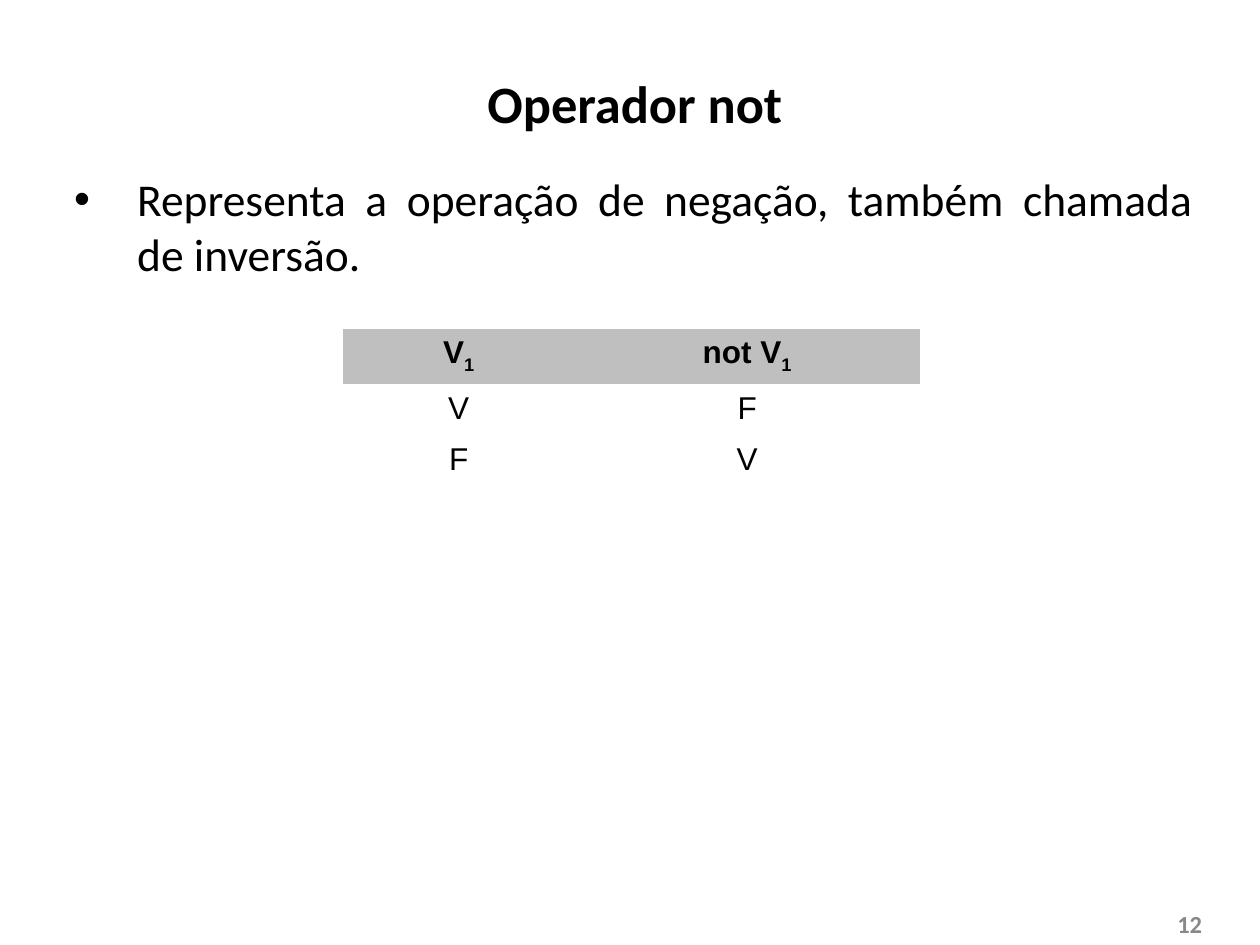
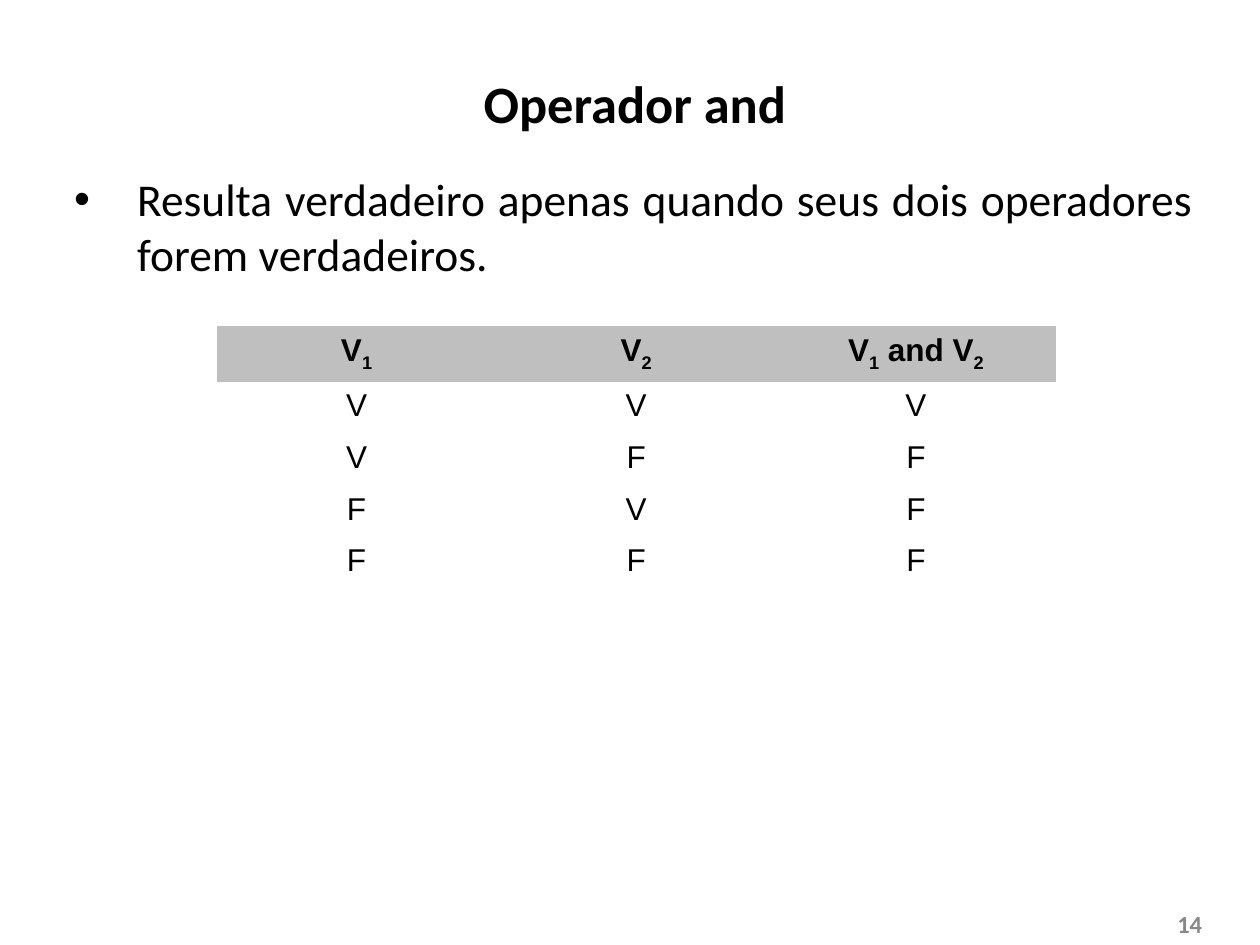
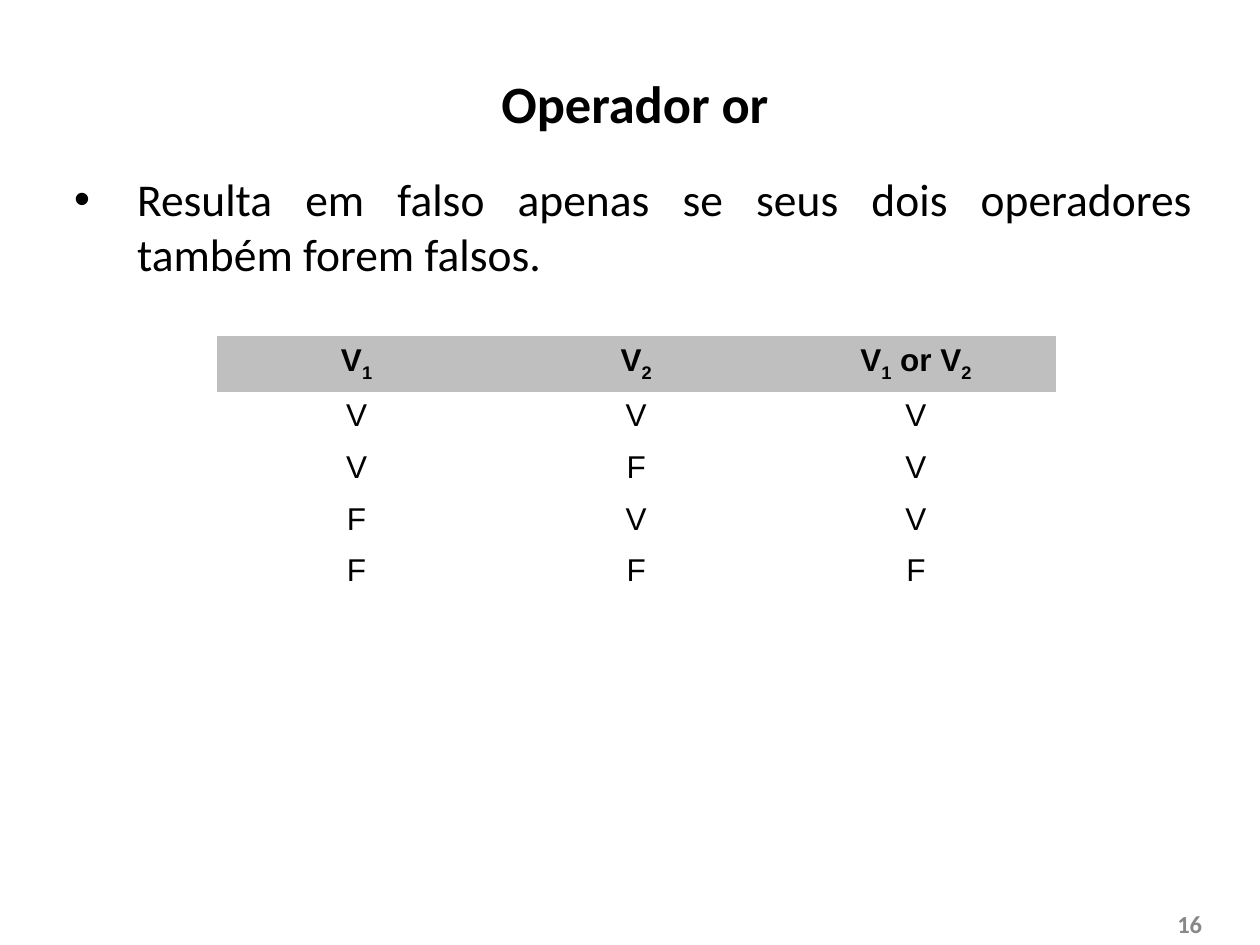
import itertools

import pptx
import pptx.dml.color
import pptx.enum.text
import pptx.oxml.ns
import pptx.util
from lxml import etree

BLACK = pptx.dml.color.RGBColor(0x00, 0x00, 0x00)
PAGE_GRAY = pptx.dml.color.RGBColor(0x88, 0x88, 0x88)
HEADER_GRAY = pptx.dml.color.RGBColor(0xBF, 0xBF, 0xBF)
TEXT_FONT = "Calibri"
TABLE_FONT = "Arial"
PLAIN_TABLE_STYLE = "{2D5ABB26-0587-4C30-8999-92F81FD0307C}"

SLIDE_WIDTH = pptx.util.Inches(10)
SLIDE_HEIGHT = pptx.util.Inches(7.5)
COLUMN = SLIDE_WIDTH / 100
ROW = SLIDE_HEIGHT / 75

ALIGN = pptx.enum.text.PP_ALIGN
ANCHOR = pptx.enum.text.MSO_ANCHOR


def columns(count):
    return round(count * COLUMN)


def rows(count):
    return round(count * ROW)


def add_run(paragraph, text, size, font=TEXT_FONT, color=BLACK, bold=False):
    run = paragraph.add_run()
    run.text = text
    run.font.size = pptx.util.Pt(size)
    run.font.name = font
    run.font.color.rgb = color
    run.font.bold = bold
    return run


def add_text_area(slide, left, top, width, height, align):
    area = slide.shapes.add_textbox(columns(left), rows(top), columns(width), rows(height))
    frame = area.text_frame
    frame.word_wrap = True
    paragraph = frame.paragraphs[0]
    paragraph.alignment = align
    return frame, paragraph


def add_page_number(slide, number):
    frame, paragraph = add_text_area(slide, 73.1, 71.3, 23.3, 4, ALIGN.RIGHT)
    frame.vertical_anchor = ANCHOR.MIDDLE
    add_run(paragraph, str(number), 14, color=PAGE_GRAY, bold=True)


def add_title(slide, title):
    _, paragraph = add_text_area(slide, 5.1, 5.7, 90.6, 5.8, ALIGN.CENTER)
    paragraph.line_spacing = 0.9
    add_run(paragraph, title, 30, bold=True)


def add_definition(slide, definition):
    frame, paragraph = add_text_area(slide, 4.9, 13.1, 90.8, 9.8, ALIGN.JUSTIFY)
    frame.auto_size = pptx.enum.text.MSO_AUTO_SIZE.SHAPE_TO_FIT_TEXT
    properties = paragraph._p.get_or_add_pPr()
    properties.set("marL", str(columns(5)))
    properties.set("indent", str(-columns(5)))
    bullet_font = etree.SubElement(properties, pptx.oxml.ns.qn("a:buFont"))
    bullet_font.set("typeface", "Arial")
    bullet = etree.SubElement(properties, pptx.oxml.ns.qn("a:buChar"))
    bullet.set("char", "•")
    add_run(paragraph, definition, 26)


def add_heading_runs(paragraph, heading):
    first, *indexed = heading.split("_")
    add_run(paragraph, first, 18, TABLE_FONT, bold=True)
    for part in indexed:
        index = add_run(paragraph, part[0], 18, TABLE_FONT, bold=True)
        index._r.get_or_add_rPr().set("baseline", "-25000")
        if part[1:]:
            add_run(paragraph, part[1:], 18, TABLE_FONT, bold=True)


def truth_rows(operator, operand_count):
    for operands in itertools.product((True, False), repeat=operand_count):
        yield ["V" if value else "F" for value in (*operands, operator(*operands))]


def add_truth_table(slide, left, top, widths, headings, operator):
    lines = list(truth_rows(operator, len(headings) - 1))
    line_count = len(lines) + 1
    table_frame = slide.shapes.add_table(
        line_count, len(headings), columns(left), rows(top),
        columns(sum(widths)), rows(4.1 * line_count))
    style = next(table_frame.element.iter(pptx.oxml.ns.qn("a:tableStyleId")))
    style.text = PLAIN_TABLE_STYLE
    table = table_frame.table
    table.horz_banding = False
    for column, width in zip(table.columns, widths):
        column.width = columns(width)
    for line, values in enumerate([headings, *lines]):
        table.rows[line].height = rows(4.1)
        for position, value in enumerate(values):
            cell = table.cell(line, position)
            paragraph = cell.text_frame.paragraphs[0]
            paragraph.alignment = ALIGN.CENTER
            if line == 0:
                cell.fill.solid()
                cell.fill.fore_color.rgb = HEADER_GRAY
                add_heading_runs(paragraph, value)
            else:
                cell.fill.background()
                add_run(paragraph, value, 18, TABLE_FONT)


def add_operator_slide(deck, number, title, definition, **truth_table):
    slide = deck.slides.add_slide(deck.slide_layouts[6])
    add_page_number(slide, number)
    add_title(slide, title)
    add_truth_table(slide, **truth_table)
    add_definition(slide, definition)


def main():
    deck = pptx.Presentation()
    deck.slide_width = SLIDE_WIDTH
    deck.slide_height = SLIDE_HEIGHT
    add_operator_slide(
        deck, 12, "Operador not",
        "Representa a operação de negação, também chamada de inversão.",
        left=27.2, top=26.1, widths=[18.4, 27.4],
        headings=["V_1", "not V_1"], operator=lambda v1: not v1)
    add_operator_slide(
        deck, 14, "Operador and",
        "Resulta verdadeiro apenas quando seus dois operadores forem verdadeiros.",
        left=17.2, top=25.9, widths=[22.2] * 3,
        headings=["V_1", "V_2", "V_1 and V_2"], operator=lambda v1, v2: v1 and v2)
    add_operator_slide(
        deck, 16, "Operador or",
        "Resulta em falso apenas se seus dois operadores também forem falsos.",
        left=17.2, top=26.7, widths=[22.2] * 3,
        headings=["V_1", "V_2", "V_1 or V_2"], operator=lambda v1, v2: v1 or v2)
    deck.save("out.pptx")


if __name__ == "__main__":
    main()
